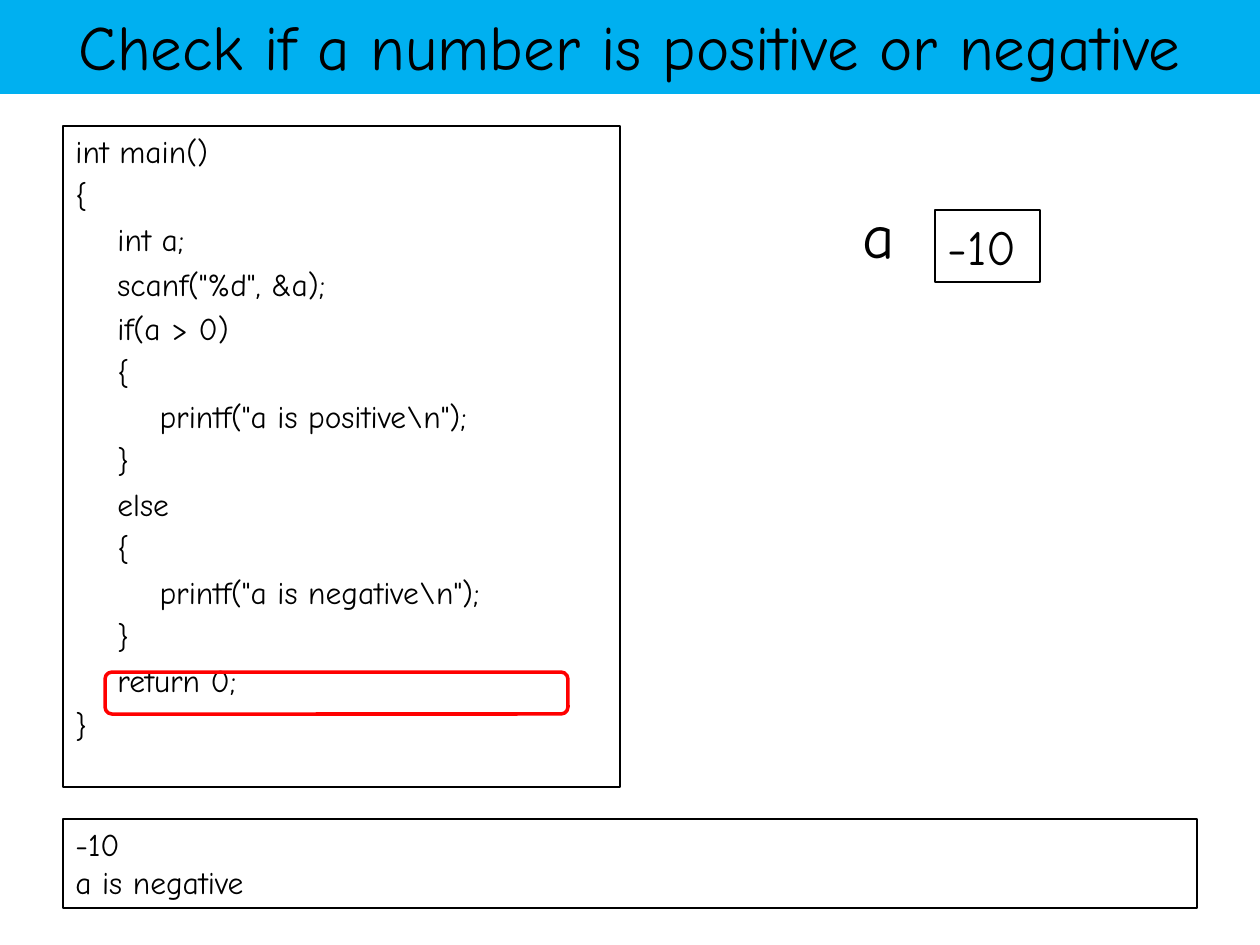
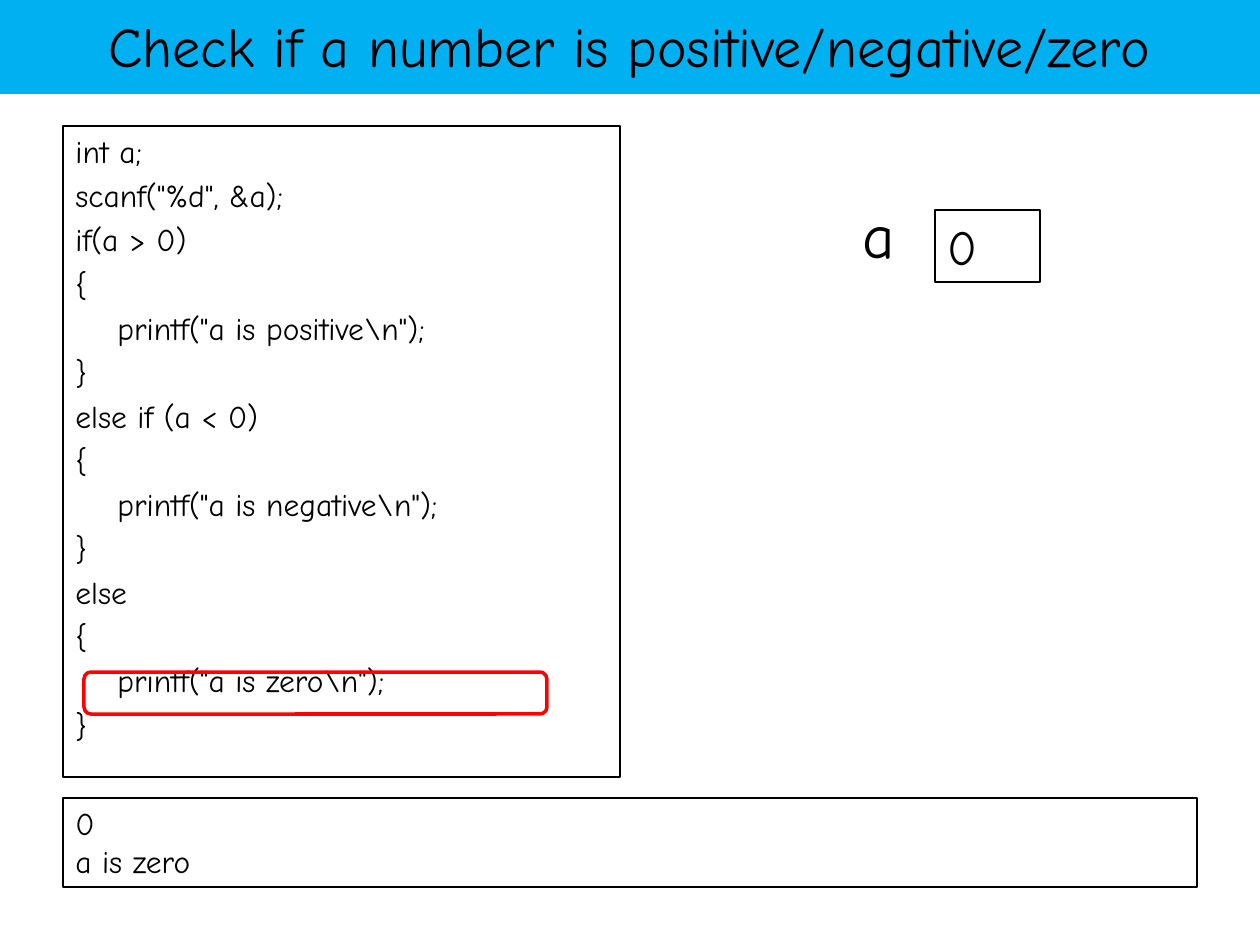
import pptx
import pptx.util
import pptx.dml.color
import pptx.enum.shapes
import pptx.enum.text

SCALE = 914400 / 126  # EMU in one px
FONT = "Comic Neue"
BLACK, BLUE, RED = "000000", "00B0F0", "FF0000"
KIND = pptx.enum.shapes.MSO_SHAPE
ALIGN = pptx.enum.text.PP_ALIGN
ANCHOR = pptx.enum.text.MSO_ANCHOR


def rgb(code):
    return pptx.dml.color.RGBColor.from_string(code)


def box(slide, place, lines=(), size=18, fill=None, edge=None, width=0.75,
        kind=KIND.RECTANGLE, align=ALIGN.LEFT, anchor=ANCHOR.TOP, gap=0):
    """Add one shape with its lines of text."""
    shape = slide.shapes.add_shape(kind, *[round(n * SCALE) for n in place])
    shape.shadow.inherit = False
    if fill:
        shape.fill.solid()
        shape.fill.fore_color.rgb = rgb(fill)
    else:
        shape.fill.background()
    if edge:
        shape.line.color.rgb = rgb(edge)
        shape.line.width = pptx.util.Pt(width)
    else:
        shape.line.fill.background()
    frame = shape.text_frame
    frame.word_wrap = True
    frame.vertical_anchor = anchor
    form = {"name": FONT, "size": pptx.util.Pt(size)}
    for i, line in enumerate(lines):
        para = frame.add_paragraph() if i else frame.paragraphs[0]
        para.alignment = align
        if i and gap:
            para.space_before = pptx.util.Pt(gap)
        run = para.add_run()
        run.text = line
        for key, value in form.items():
            setattr(run.font, key, value)
        run.font.color.rgb = rgb(BLACK)


# What differs from slide to slide
pages = [
    {
        "title": "Check if a number is positive or negative", "size": 36,
        "code": r'''int main()
{
    int a;
    scanf("%d", &a);
    if(a > 0)
    {
        printf("a is positive\n");
    }
    else
    {
        printf("a is negative\n");
    }
    return 0;
}''',
        "tall": 661, "value": "-10", "result": "a is negative",
        "out": 819, "mark": 105,
    },
    {
        "title": "Check if a number is positive/negative/zero", "size": 32,
        "code": r'''int a;
scanf("%d", &a);
if(a > 0)
{
    printf("a is positive\n");
}
else if (a < 0)
{
    printf("a is negative\n");
}
else
{
    printf("a is zero\n");
}''',
        "tall": 651, "value": "0", "result": "a is zero",
        "out": 798, "mark": 84,
    },
]

deck = pptx.Presentation()
deck.slide_width = round(1260 * SCALE)
deck.slide_height = round(945 * SCALE)

for page in pages:
    slide = deck.slides.add_slide(deck.slide_layouts[6])

    # Title band
    box(slide, (-1, -4, 1261, 98), [page["title"]], page["size"], fill=BLUE,
        align=ALIGN.CENTER, anchor=ANCHOR.MIDDLE)

    # Code and its output
    box(slide, (63, 126, 557, page["tall"]), page["code"].split("\n"),
        edge=BLACK, gap=3.6)
    box(slide, (63, page["out"], 1134, 89), [page["value"], page["result"]],
        edge=BLACK)

    # Variable and its value
    box(slide, (935, 210, 105, 72), [page["value"]], 28, edge=BLACK)
    box(slide, (850, 189, 63, 89), ["a"], 36)

    # Mark on the current line
    box(slide, (page["mark"], 672, 463, 42), edge=RED, width=2,
        kind=KIND.ROUNDED_RECTANGLE)

deck.save("out.pptx")
